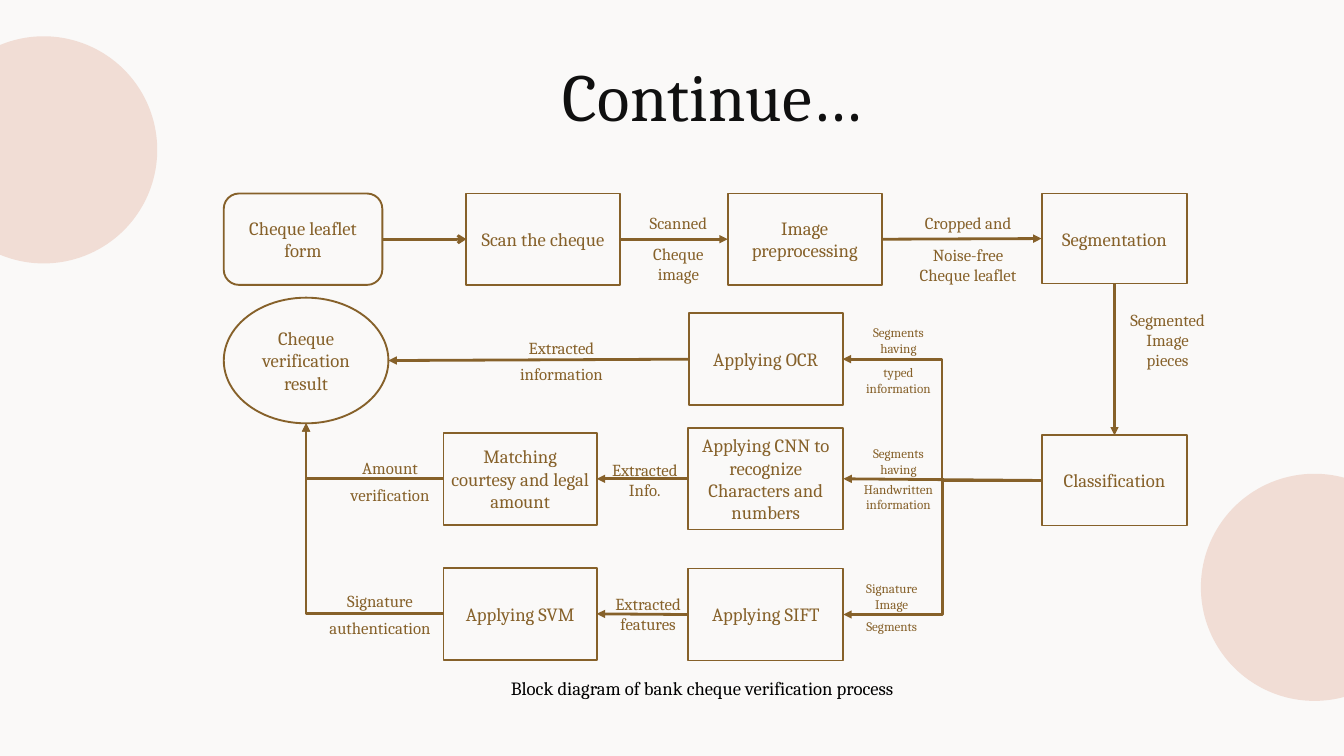
from dataclasses import dataclass

import pptx
import pptx.dml.color
import pptx.enum.shapes
import pptx.enum.text
import pptx.oxml
import pptx.oxml.ns
import pptx.util

RGBColor = pptx.dml.color.RGBColor
Kind = pptx.enum.shapes.MSO_SHAPE
Connector = pptx.enum.shapes.MSO_CONNECTOR
Anchor = pptx.enum.text.MSO_ANCHOR
qn = pptx.oxml.ns.qn

BACKGROUND = RGBColor(0xFA, 0xF9, 0xF8)
BLUSH = RGBColor(0xF1, 0xDD, 0xD5)
INK = RGBColor(0x10, 0x10, 0x10)
BLACK = RGBColor(0, 0, 0)
BROWN = RGBColor(0x86, 0x61, 0x2A)

FONT = "Cambria"
WIDTH, HEIGHT = pptx.util.Inches(20), pptx.util.Inches(11.25)
COLUMN, ROW = WIDTH / 20, HEIGHT / 11.25
LINE_HEIGHT = 1.18
TOP, LEFT, BOTTOM, RIGHT = range(4)

STEPS = {
    "form": (Kind.ROUNDED_RECTANGLE, 0, 0, 2.36, 1.36, "Cheque leaflet form"),
    "scan": (Kind.RECTANGLE, 3.61, 0, 2.28, 1.36, "Scan the cheque"),
    "preprocessing": (Kind.RECTANGLE, 7.5, 0, 2.29, 1.36, "Image preprocessing"),
    "segmentation": (Kind.RECTANGLE, 12.17, 0, 2.17, 1.34, "Segmentation"),
    "svm": (Kind.RECTANGLE, 3.27, 5.57, 2.28, 1.37, "Applying SVM"),
    "classification": (Kind.RECTANGLE, 12.17, 3.6, 2.17, 1.34, "Classification"),
    "sift": (Kind.RECTANGLE, 6.91, 5.58, 2.31, 1.37, "Applying SIFT"),
    "ocr": (Kind.RECTANGLE, 6.92, 1.78, 2.29, 1.37, "Applying OCR"),
    "matching": (Kind.RECTANGLE, 3.27, 3.56, 2.28, 1.37, "Matching courtesy and legal amount"),
    "cnn": (Kind.RECTANGLE, 6.91, 3.49, 2.31, 1.51,
            "Applying CNN to recognize Characters and numbers"),
    "result": (Kind.OVAL, 0, 1.55, 2.45, 1.87, "Cheque verification result"),
}

FLOWS = [
    ("form", RIGHT, "scan", LEFT, "straightConnector1", "arrow"),
    ("scan", RIGHT, "preprocessing", LEFT, "straightConnector1", "triangle"),
    ("preprocessing", RIGHT, "segmentation", LEFT, "straightConnector1", "triangle"),
    ("segmentation", BOTTOM, "classification", TOP, "straightConnector1", "triangle"),
    ("classification", LEFT, "cnn", RIGHT, "straightConnector1", "triangle"),
    ("classification", LEFT, "ocr", RIGHT, "bentConnector3", "triangle"),
    ("classification", LEFT, "sift", RIGHT, "bentConnector3", "triangle"),
    ("ocr", LEFT, "result", RIGHT, "straightConnector1", "triangle"),
    ("cnn", LEFT, "matching", RIGHT, "straightConnector1", "triangle"),
    ("sift", LEFT, "svm", RIGHT, "straightConnector1", "triangle"),
    ("matching", LEFT, "result", BOTTOM, "bentConnector2", "triangle"),
    ("svm", LEFT, "result", BOTTOM, "bentConnector2", "triangle"),
]

# left, top, width, height, text size, gap between the two groups, lines above, lines below
LABELS = [
    (6.06, 0.23, 1.41, 1.19, 18, 10.5, ["Scanned"], ["Cheque", "image"]),
    (10.12, 0.24, 1.91, 1.19, 18, 10.5, ["Cropped and"], ["Noise-free", "Cheque leaflet"]),
    (13.09, 1.68, 1.91, 1.01, 18, 0, ["Segmented"], ["Image", "pieces"]),
    (8.84, 3.7, 2.4, 1.13, 14, 4, ["Segments", "having"], ["Handwritten", "information"]),
    (8.84, 1.9, 2.4, 1.18, 14, 8, ["Segments", "having"], ["typed", "information"]),
    (8.74, 5.71, 2.4, 0.94, 14, 6, ["Signature", "Image"], ["Segments"]),
    (4.07, 2.09, 1.91, 0.81, 18, 6, ["Extracted"], ["information"]),
    (1.52, 3.88, 1.91, 0.81, 18, 6, ["Amount"], ["verification"]),
    (1.37, 5.86, 1.91, 0.81, 18, 6, ["Signature"], ["authentication"]),
    (5.31, 3.91, 1.91, 0.71, 18, 0, ["Extracted"], ["Info."]),
    (5.36, 5.91, 1.91, 0.71, 18, 0, ["Extracted"], ["features"]),
]


@dataclass
class Box:
    left: float
    top: float
    width: float
    height: float

    def inner(self, left, top, width, height):
        return Box(self.left + left, self.top + top, width, height)

    def lengths(self):
        return (round(self.left * COLUMN), round(self.top * ROW),
                round(self.width * COLUMN), round(self.height * ROW))


def write_line(paragraph, text, size, color):
    paragraph.alignment = pptx.enum.text.PP_ALIGN.CENTER
    run = paragraph.add_run()
    run.text = text
    run.font.name = FONT
    run.font.size = pptx.util.Pt(size)
    run.font.color.rgb = color


def add_text(slide, box, lines, size, color):
    frame = slide.shapes.add_textbox(*box.lengths()).text_frame
    frame.word_wrap = True
    for index, line in enumerate(lines):
        paragraph = frame.add_paragraph() if index else frame.paragraphs[0]
        write_line(paragraph, line, size, color)
    return frame


def add_circle(slide, box):
    circle = slide.shapes.add_shape(Kind.OVAL, *box.lengths())
    circle.shadow.inherit = False
    circle.fill.solid()
    circle.fill.fore_color.rgb = BLUSH
    circle.line.fill.background()


def add_title(slide, box):
    frame = add_text(slide, box, ["Continue…"], 72, INK)
    frame.margin_left = frame.margin_right = frame.margin_top = frame.margin_bottom = 0
    frame.paragraphs[0].line_spacing = pptx.util.Pt(84)


def add_step(slide, box, kind, text):
    step = slide.shapes.add_shape(kind, *box.lengths())
    step.shadow.inherit = False
    step.fill.background()
    step.line.color.rgb = BROWN
    step.line.width = pptx.util.Pt(2)
    step.text_frame.word_wrap = True
    step.text_frame.vertical_anchor = Anchor.MIDDLE
    write_line(step.text_frame.paragraphs[0], text, 20, BROWN)
    return step


def side_middle(shape, side):
    across, down = {TOP: (0.5, 0), LEFT: (0, 0.5), BOTTOM: (0.5, 1), RIGHT: (1, 0.5)}[side]
    return round(shape.left + across * shape.width), round(shape.top + down * shape.height)


def add_flow(slide, source, source_side, target, target_side, geometry, head):
    kind = Connector.STRAIGHT if geometry == "straightConnector1" else Connector.ELBOW
    flow = slide.shapes.add_connector(
        kind, *side_middle(source, source_side), *side_middle(target, target_side))
    flow.begin_connect(source, source_side)
    if target.auto_shape_type != Kind.OVAL:
        flow.end_connect(target, target_side)
    flow.line.color.rgb = BROWN
    flow.line.width = pptx.util.Pt(3)
    properties = flow._element.spPr
    properties.find(qn("a:prstGeom")).set("prst", geometry)
    line = properties.find(qn("a:ln"))
    line.append(line.makeelement(qn("a:tailEnd"), {"type": head}))
    properties.append(properties.makeelement(qn("a:effectLst"), {}))


def add_label(slide, box, size, gap, above, below):
    frame = add_text(slide, box, above + below, size, BROWN)
    frame.paragraphs[len(above)].space_before = pptx.util.Pt(round(gap * LINE_HEIGHT, 1))


def add_diagram(slide, box):
    steps = {name: add_step(slide, box.inner(*place), kind, text)
             for name, (kind, *place, text) in STEPS.items()}
    for source, source_side, target, target_side, geometry, head in FLOWS:
        add_flow(slide, steps[source], source_side, steps[target], target_side, geometry, head)
    for left, top, width, height, *content in LABELS:
        add_label(slide, box.inner(left, top, width, height), *content)


def main():
    presentation = pptx.Presentation()
    presentation.slide_width, presentation.slide_height = WIDTH, HEIGHT
    slide = presentation.slides.add_slide(presentation.slide_layouts[6])
    slide.background.fill.solid()
    slide.background.fill.fore_color.rgb = BACKGROUND
    for left, top in [(-1.04, 0.54), (17.87, 7.05)]:
        add_circle(slide, Box(left, top, 3.38, 3.38))
    add_title(slide, Box(4.43, 0.84, 12.35, 1.19))
    add_text(slide, Box(4.89, 10.03, 11.12, 0.44),
             ["Block diagram of bank cheque verification process"], 20, BLACK)
    add_diagram(slide, Box(3.33, 2.88, 15, 6.95))
    presentation.save("out.pptx")


if __name__ == "__main__":
    main()
